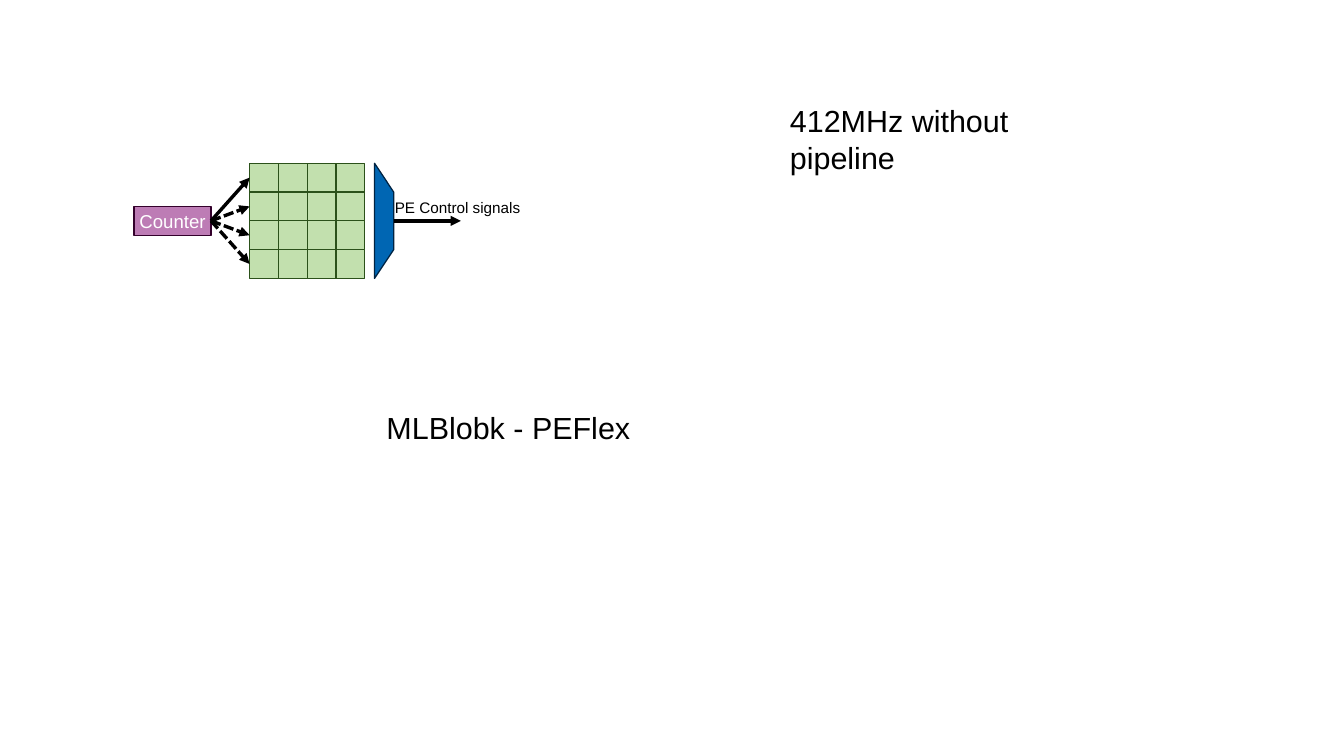
from lxml import etree
from pptx import Presentation
from pptx import util as u
from pptx.dml.color import RGBColor
from pptx.enum import dml, shapes, text
from pptx.oxml import ns

# Content: label, left, top, width, height, font size (points)
LABELS = [
    ("PE Control signals", 226, 113.4, 88.6, 17, 9),
    ("412MHz without pipeline", 459.2, 56.7, 210.2, 27.4, 18),
    ("MLBlobk - PEFlex", 221.1, 238.1, 158.4, 27.4, 18),
]
COUNTER = "Counter"
COLORS = {
    "cell": "C2E0AE", "cell_line": "2B511A",
    "counter": "BD7CB5", "counter_line": "33002B",
    "mux": "0066B3", "mux_line": "002342",
    "black": "000000", "white": "FFFFFF",
}

# Layout
CELL, N = 17, 4
GRID_X, GRID_Y = 147.4, 96.4
GRID_BOTTOM = GRID_Y + N * CELL
MID_Y = GRID_Y + N * CELL / 2
COUNTER_X, COUNTER_W = 79.2, 45.4
MUX_X, MUX_W = 221.1, 11.3
OUT_X = 272.1

prs = Presentation()
prs.slide_width, prs.slide_height = u.Pt(793.44), u.Pt(446.4)
s = prs.slides.add_slide(prs.slide_layouts[6])


def rgb(name):
    return RGBColor.from_string(COLORS[name])


def paint(sp, name):
    sp.shadow.inherit = False
    sp.fill.solid()
    sp.fill.fore_color.rgb = rgb(name)
    sp.line.color.rgb = rgb(name + "_line")
    sp.line.width = u.Pt(0)
    return sp


def add_box(x, y, w, h, name):
    box = s.shapes.add_shape(shapes.MSO_SHAPE.RECTANGLE, *map(u.Pt, (x, y, w, h)))
    return paint(box, name)


def add_arrow(x1, y1, x2, y2, dashed=False):
    cx = s.shapes.add_connector(shapes.MSO_CONNECTOR.STRAIGHT, *map(u.Pt, (x1, y1, x2, y2)))
    cx.line.color.rgb = rgb("black")
    cx.line.width = u.Pt(0)
    if dashed:
        cx.line.dash_style = dml.MSO_LINE.SQUARE_DOT
    etree.SubElement(cx.line._get_or_add_ln(), ns.qn("a:tailEnd"), type="triangle")
    etree.SubElement(cx._element.spPr, ns.qn("a:effectLst"))
    return cx


def write(sp, words, size, color):
    tf = sp.text_frame
    tf.text = words
    tf.word_wrap = False
    font = tf.paragraphs[0].runs[0].font
    font.name, font.size = "Arial", u.Pt(size)
    font.color.rgb = rgb(color)
    return tf


# Memory grid
cells = [[add_box(GRID_X + col * CELL, GRID_Y + row * CELL, CELL, CELL, "cell")
          for col in range(N)] for row in range(N)]

# Counter
counter = add_box(COUNTER_X, MID_Y - CELL / 2, COUNTER_W, CELL, "counter")
tf = write(counter, COUNTER, 11, "white")
tf.vertical_anchor = text.MSO_ANCHOR.MIDDLE
tf.paragraphs[0].alignment = text.PP_ALIGN.CENTER

# Counter to each grid row; only the first row is solid
for i, row in enumerate(cells):
    cx = add_arrow(COUNTER_X + COUNTER_W, MID_Y, GRID_X, GRID_Y + (i + 0.5) * CELL, dashed=i > 0)
    cx.begin_connect(counter, 3)
    cx.end_connect(row[0], 1)

# Multiplexer and its output
right = MUX_X + MUX_W
fb = s.shapes.build_freeform(u.Pt(MUX_X), u.Pt(GRID_BOTTOM))
fb.add_line_segments([(u.Pt(x), u.Pt(y)) for x, y in (
    (MUX_X, GRID_Y), (right, GRID_Y + CELL), (right, GRID_BOTTOM - CELL))])
paint(fb.convert_to_shape(), "mux")
add_arrow(right, MID_Y, OUT_X, MID_Y)

# Labels
for words, x, y, w, h, size in LABELS:
    tb = s.shapes.add_textbox(*map(u.Pt, (x, y, w, h)))
    tf = write(tb, words, size, "black")
    tf.auto_size = text.MSO_AUTO_SIZE.SHAPE_TO_FIT_TEXT

prs.save("out.pptx")
